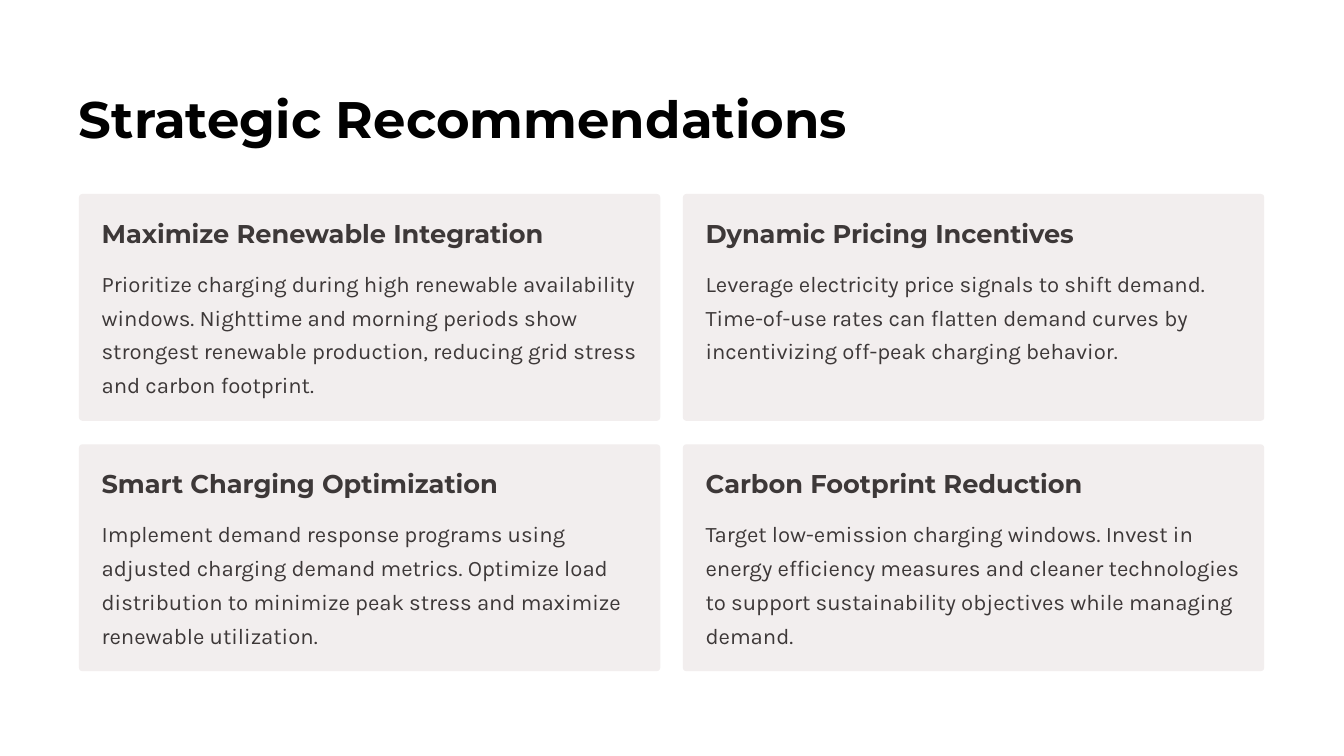
"""Build the Strategic Recommendations slide with its two-by-two card grid."""
from pptx import Presentation
from pptx.dml.color import RGBColor
from pptx.enum import shapes
from pptx.util import Inches, Pt

COLORS = {"title": "000000", "text": "3D3838", "card": "F2EEEE", "background": "FFFFFF"}
LEFT, TOP = 0.94, 2.31
CARD_W, CARD_H = 6.92, 2.7
STEP_X, STEP_Y = 7.19, 2.98
PAD = 0.27
COLUMNS = 2

CARDS = [
    ("Maximize Renewable Integration",
     "Prioritize charging during high renewable availability windows. "
     "Nighttime and morning periods show strongest renewable production, "
     "reducing grid stress and carbon footprint."),
    ("Dynamic Pricing Incentives",
     "Leverage electricity price signals to shift demand. "
     "Time-of-use rates can flatten demand curves by incentivizing "
     "off-peak charging behavior."),
    ("Smart Charging Optimization",
     "Implement demand response programs using adjusted charging demand metrics. "
     "Optimize load distribution to minimize peak stress and maximize "
     "renewable utilization."),
    ("Carbon Footprint Reduction",
     "Target low-emission charging windows. Invest in energy efficiency measures "
     "and cleaner technologies to support sustainability objectives "
     "while managing demand."),
]


def add_text(s, box, content, font, size, spacing, color, bold=False, wrap=False):
    """Add a text box without insets and with fixed line spacing."""
    tf = s.shapes.add_textbox(*map(Inches, box)).text_frame
    tf.margin_left = tf.margin_top = tf.margin_right = tf.margin_bottom = 0
    tf.word_wrap = wrap
    p = tf.paragraphs[0]
    p.text = content
    p.line_spacing = Pt(spacing)
    r = p.runs[0]
    r.font.name = font
    r.font.size = Pt(size)
    r.font.bold = bold
    r.font.color.rgb = RGBColor.from_string(COLORS[color])


def add_card(s, x, y, heading, body):
    """Add a rounded panel with a heading and a paragraph."""
    sp = s.shapes.add_shape(shapes.MSO_SHAPE.ROUNDED_RECTANGLE,
                            Inches(x), Inches(y), Inches(CARD_W), Inches(CARD_H))
    sp.adjustments[0] = 0.015
    sp.shadow.inherit = False
    sp.fill.solid()
    sp.fill.fore_color.rgb = RGBColor.from_string(COLORS["card"])
    sp.line.fill.background()
    inner_w = CARD_W - 2 * PAD
    add_text(s, (x + PAD, y + PAD, inner_w, 0.38), heading,
             "Montserrat", 22, 27.5, "text", bold=True)
    add_text(s, (x + PAD, y + 0.82, inner_w, 1.62), body,
             "Karla", 19, 29, "text", wrap=True)


def main():
    """Create the slide and save it."""
    prs = Presentation()
    prs.slide_width, prs.slide_height = Inches(16), Inches(9)
    s = prs.slides.add_slide(prs.slide_layouts[6])
    s.background.fill.solid()
    s.background.fill.fore_color.rgb = RGBColor.from_string(COLORS["background"])
    add_text(s, (LEFT, 1.01, 9.18, 0.77), "Strategic Recommendations",
             "Montserrat", 44, 55, "title", bold=True)
    for i, (heading, body) in enumerate(CARDS):
        row, col = divmod(i, COLUMNS)
        add_card(s, LEFT + col * STEP_X, TOP + row * STEP_Y, heading, body)
    prs.save("out.pptx")


if __name__ == "__main__":
    main()
